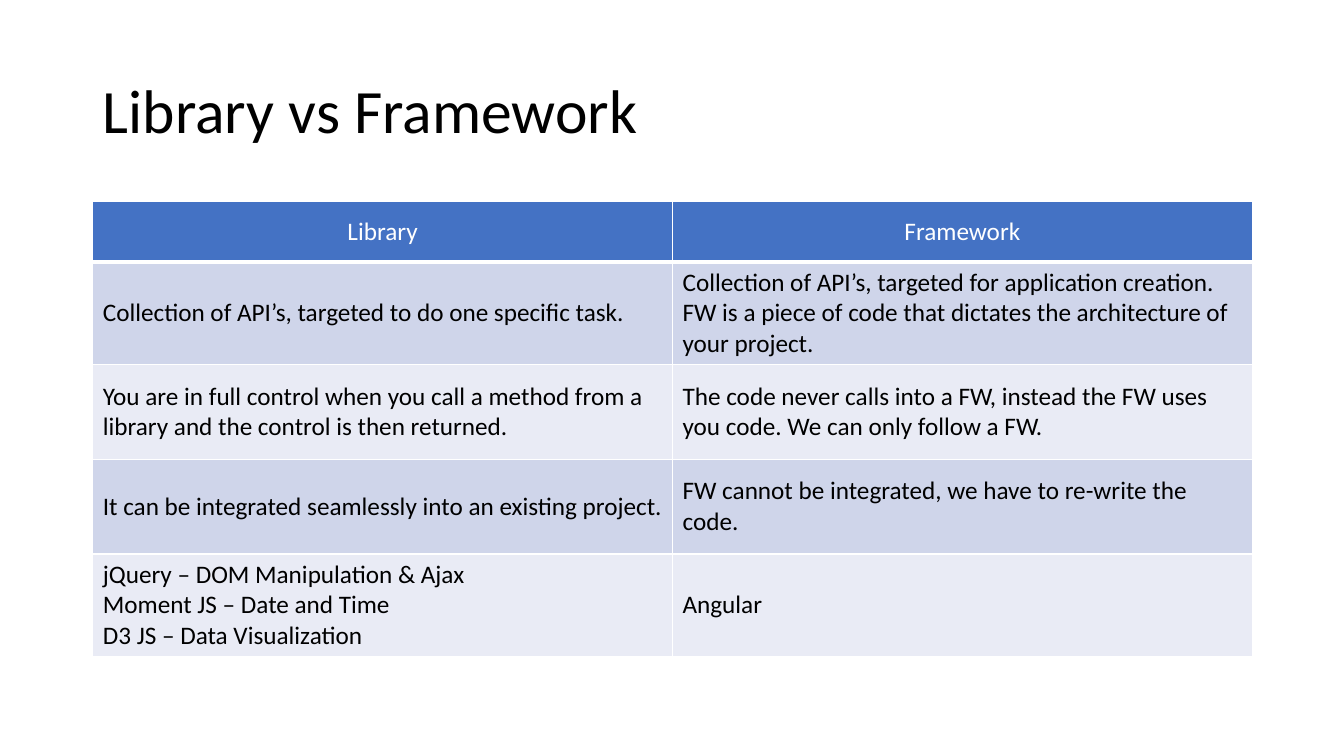
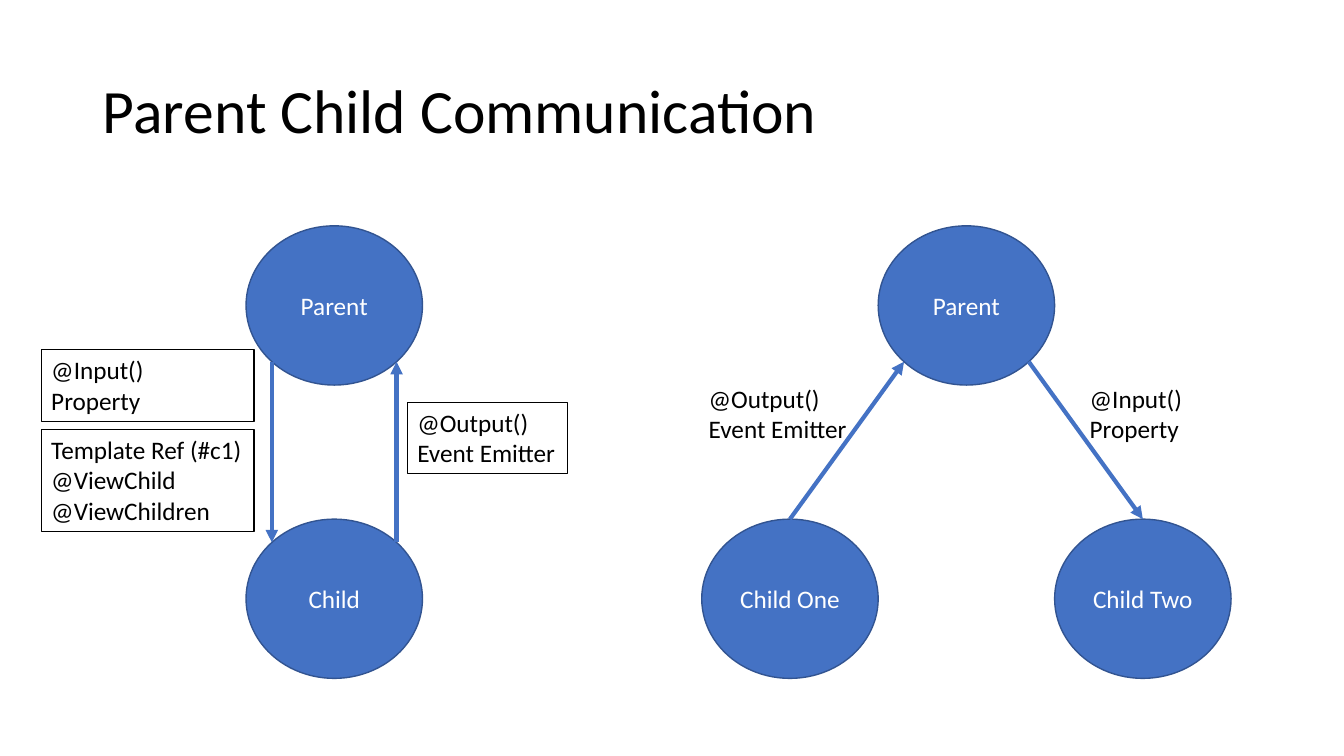
from lxml import etree
from pptx import Presentation
from pptx.dml.color import RGBColor
from pptx.enum import shapes as kinds, text as txt
from pptx.oxml import ns
from pptx.util import Inches, Pt

FONT = "Calibri"
COLORS = {
    "blue": "4472C4",
    "outline": "325491",
    "band_dark": "CFD5EA",
    "band_light": "E9EBF5",
    "black": "000000",
    "white": "FFFFFF",
}
NODE_W, NODE_H = 1.75, 1.58
PARENT_Y, CHILD_Y = 2.24, 5.15
DIAGONAL = 0.5 ** 0.5

COMPARISON = [
    ("Library", "Framework"),
    ("Collection of API’s, targeted to do one specific task.",
     "Collection of API’s, targeted for application creation. "
     "FW is a piece of code that dictates the architecture of your project."),
    ("You are in full control when you call a method from a library "
     "and the control is then returned.",
     "The code never calls into a FW, instead the FW uses you code. "
     "We can only follow a FW."),
    ("It can be integrated seamlessly into an existing project.",
     "FW cannot be integrated, we have to re-write the code."),
    ("jQuery – DOM Manipulation & Ajax\nMoment JS – Date and Time\n"
     "D3 JS – Data Visualization", "Angular"),
]


def rgb(name):
    return RGBColor.from_string(COLORS[name])


def inches(*lengths):
    return [Inches(length) for length in lengths]


def format_text(frame, color, size=18, align=txt.PP_ALIGN.LEFT):
    for paragraph in frame.paragraphs:
        paragraph.alignment = align
        for run in paragraph.runs:
            run.font.name = FONT
            run.font.size = Pt(size)
            run.font.bold = False
            run.font.color.rgb = rgb(color)


def add_titled_slide(deck, heading):
    slide = deck.slides.add_slide(deck.slide_layouts[5])
    title = slide.shapes.title
    title.left, title.top, title.width, title.height = inches(0.92, 0.4, 11.5, 1.45)
    frame = title.text_frame
    frame.text = heading
    frame.vertical_anchor = txt.MSO_ANCHOR.MIDDLE
    frame.paragraphs[0].line_spacing = 0.9
    format_text(frame, "black", 44)
    return slide


def set_borders(cell, bottom_width):
    """Give a filled cell white borders; only the bottom width varies."""
    properties = cell._tc.get_or_add_tcPr()
    for index, side in enumerate("LRTB"):
        width = bottom_width if side == "B" else 1
        border = etree.Element(ns.qn(f"a:ln{side}"), w=str(Pt(width)))
        fill = etree.SubElement(border, ns.qn("a:solidFill"))
        etree.SubElement(fill, ns.qn("a:srgbClr"), val=COLORS["white"])
        properties.insert(index, border)


def add_comparison(slide, rows):
    frame = slide.shapes.add_table(len(rows), 2, *inches(0.92, 2, 11.5, 4.36))
    table = frame.table
    for row_index, row in enumerate(rows):
        header = row_index == 0
        table.rows[row_index].height = Inches(0.6 if header else 0.94)
        band = "blue" if header else ("band_light", "band_dark")[row_index % 2]
        for column, content in enumerate(row):
            cell = table.cell(row_index, column)
            cell.text = content
            cell.vertical_anchor = txt.MSO_ANCHOR.MIDDLE
            cell.fill.solid()
            cell.fill.fore_color.rgb = rgb(band)
            set_borders(cell, 3 if header else 1)
            if header:
                format_text(cell.text_frame, "white", align=txt.PP_ALIGN.CENTER)
            else:
                format_text(cell.text_frame, "black")


def add_node(shapes, name, left, top):
    node = shapes.add_shape(kinds.MSO_SHAPE.OVAL, *inches(left, top, NODE_W, NODE_H))
    node.shadow.inherit = False
    node.fill.solid()
    node.fill.fore_color.rgb = rgb("blue")
    node.line.color.rgb = rgb("outline")
    node.line.width = Pt(1)
    node.text_frame.text = name
    node.text_frame.vertical_anchor = txt.MSO_ANCHOR.MIDDLE
    format_text(node.text_frame, "white", align=txt.PP_ALIGN.CENTER)
    return node


def rim_point(node, across, down):
    """Point on the node's ellipse, in multiples of its half width and height."""
    return (int(node.left + node.width * (1 + across) / 2),
            int(node.top + node.height * (1 + down) / 2))


def add_arrow(shapes, start, end):
    arrow = shapes.add_connector(kinds.MSO_CONNECTOR.STRAIGHT, *start, *end)
    arrow.line.color.rgb = rgb("blue")
    arrow.line.width = Pt(3)
    line = arrow.line._get_or_add_ln()
    etree.SubElement(line, ns.qn("a:tailEnd"), type="triangle")
    etree.SubElement(arrow._element.spPr, ns.qn("a:effectLst"))
    return arrow


def add_label(shapes, content, box, wrap=False, framed=False):
    label = shapes.add_textbox(*inches(*box))
    frame = label.text_frame
    frame.text = content
    frame.word_wrap = wrap
    frame.auto_size = txt.MSO_AUTO_SIZE.SHAPE_TO_FIT_TEXT
    format_text(frame, "black")
    if framed:
        label.line.color.rgb = rgb("black")
        label.line.width = Pt(0.75)


def add_single_child(shapes):
    parent = add_node(shapes, "Parent", 2.44, PARENT_Y)
    child = add_node(shapes, "Child", 2.44, CHILD_Y)
    add_arrow(shapes, rim_point(parent, -DIAGONAL, DIAGONAL),
              rim_point(child, -DIAGONAL, -DIAGONAL))
    add_arrow(shapes, rim_point(child, DIAGONAL, -DIAGONAL),
              rim_point(parent, DIAGONAL, DIAGONAL))
    add_label(shapes, "@Input()\nProperty", (0.41, 3.47, 2.11, 0.71),
              wrap=True, framed=True)
    add_label(shapes, "Template Ref (#c1)\n@ViewChild\n@ViewChildren",
              (0.41, 4.26, 2.11, 1.01), framed=True)
    add_label(shapes, "@Output()\nEvent Emitter", (4.04, 3.99, 1.59, 0.71),
              framed=True)


def add_siblings(shapes):
    parent_x = 8.71
    parent = add_node(shapes, "Parent", parent_x, PARENT_Y)
    child_one = add_node(shapes, "Child One", parent_x - NODE_W, CHILD_Y)
    child_two = add_node(shapes, "Child Two", parent_x + NODE_W, CHILD_Y)
    output = add_arrow(shapes, rim_point(child_one, 0, -1),
                       rim_point(parent, -DIAGONAL, DIAGONAL))
    output.begin_connect(child_one, 0)
    add_label(shapes, "@Output()\nEvent Emitter", (6.93, 3.75, 1.59, 0.71), wrap=True)
    input_arrow = add_arrow(shapes, rim_point(parent, DIAGONAL, DIAGONAL),
                            rim_point(child_two, 0, -1))
    input_arrow.end_connect(child_two, 0)
    add_label(shapes, "@Input()\nProperty", (10.71, 3.75, 1.13, 0.71))


def main():
    deck = Presentation()
    deck.slide_width, deck.slide_height = inches(13.33, 7.5)
    add_comparison(add_titled_slide(deck, "Library vs Framework"), COMPARISON)
    communication = add_titled_slide(deck, "Parent Child Communication")
    add_single_child(communication.shapes)
    add_siblings(communication.shapes.add_group_shape().shapes)
    deck.save("out.pptx")


if __name__ == "__main__":
    main()
